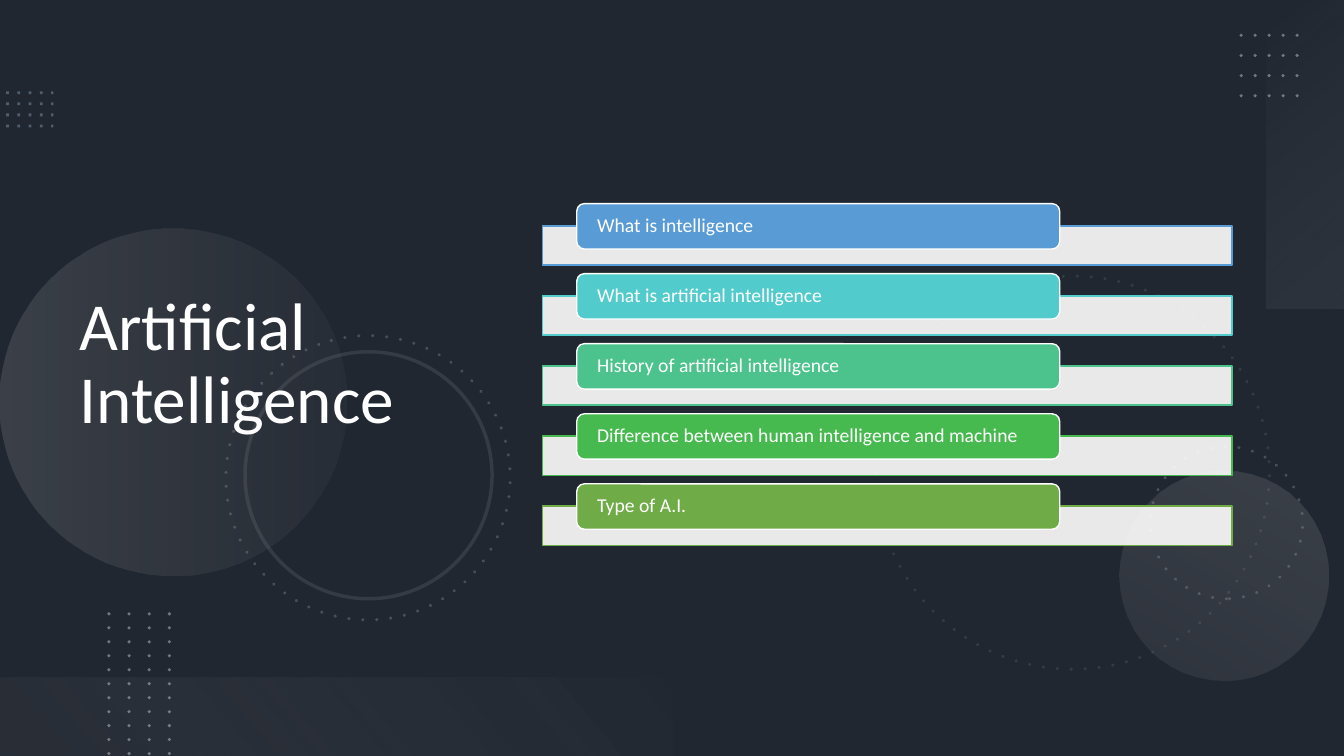
"""Build the Artificial Intelligence agenda slide."""
from typing import Any, NamedTuple, Optional

import pptx
import pptx.dml.color
import pptx.enum.shapes
import pptx.enum.text
import pptx.oxml.ns
import pptx.oxml.xmlchemy
import pptx.util
from lxml import etree

Inches = pptx.util.Inches
RGBColor = pptx.dml.color.RGBColor
Kind = pptx.enum.shapes.MSO_SHAPE
qn = pptx.oxml.ns.qn

SLATE = RGBColor(0x44, 0x54, 0x6A)
BLACK = RGBColor(0x00, 0x00, 0x00)
WHITE = RGBColor(0xFF, 0xFF, 0xFF)
STEEL = RGBColor(0x82, 0x96, 0xB0)
PALE = RGBColor(0xEF, 0xEF, 0xEF)
MIST = RGBColor(0xF5, 0xF4, 0xF4)
SILVER = RGBColor(0xAE, 0xAB, 0xAB)
GREY = RGBColor(0x75, 0x70, 0x70)
BLUE = RGBColor(0x59, 0x9B, 0xD5)
TEAL = RGBColor(0x52, 0xCB, 0xCC)
MINT = RGBColor(0x4C, 0xC3, 0x8C)
GREEN = RGBColor(0x46, 0xBA, 0x4E)
OLIVE = RGBColor(0x6F, 0xAB, 0x46)


class Box(NamedTuple):
    left: float
    top: float
    width: float
    height: float
    turn: float = 0


class Stop(NamedTuple):
    place: int
    color: RGBColor
    alpha: int


class Pen(NamedTuple):
    color: RGBColor
    width: float = 1
    alpha: int = 100
    dash: str = "solid"
    cap: str = "flat"


class Ring(NamedTuple):
    box: Box
    pen: Pen


class Glow(NamedTuple):
    kind: Any
    box: Box
    angle: int
    stops: list[Stop]


class Grid(NamedTuple):
    left: float
    top: float
    size: float
    gap: float
    pen: Pen
    upright: bool = False


class Topic(NamedTuple):
    text: str
    color: RGBColor


def fade(node: Any, alpha: int) -> None:
    if alpha < 100:
        for color in node.iter(qn("a:srgbClr")):
            etree.SubElement(color, qn("a:alpha"), val=str(alpha * 1000))


def stroke(item: Any, pen: Pen) -> None:
    item.line.color.rgb = pen.color
    item.line.width = pptx.util.Pt(pen.width)
    line = item._element.spPr.find(qn("a:ln"))
    line.set("cap", "rnd" if pen.cap == "round" else "flat")
    etree.SubElement(line, qn("a:prstDash"), val=pen.dash)
    fade(line, pen.alpha)


def shape(slide: Any, kind: Any, box: Box, fill: Optional[RGBColor] = None,
          alpha: int = 100, pen: Optional[Pen] = None) -> Any:
    item = slide.shapes.add_shape(kind, *map(Inches, box[:4]))
    item.rotation = box.turn
    item.shadow.inherit = False
    if fill is None:
        item.fill.background()
    else:
        item.fill.solid()
        item.fill.fore_color.rgb = fill
        fade(item._element.spPr, alpha)
    if pen is None:
        item.line.fill.background()
    else:
        stroke(item, pen)
    return item


def draw_glow(slide: Any, glow: Glow) -> None:
    item = shape(slide, glow.kind, glow.box)
    item.fill.gradient()
    grad = item._element.spPr.find(qn("a:gradFill"))
    for child in list(grad):
        grad.remove(child)
    grad.set("rotWithShape", "1")
    stops = etree.SubElement(grad, qn("a:gsLst"))
    for stop in glow.stops:
        mark = etree.SubElement(stops, qn("a:gs"), pos=str(stop.place * 1000))
        etree.SubElement(mark, qn("a:srgbClr"), val=str(stop.color))
        fade(mark, stop.alpha)
    etree.SubElement(grad, qn("a:lin"), ang=str(glow.angle * 60000), scaled="0")


def draw_grid(slide: Any, grid: Grid) -> None:
    for index in range(4):
        step = index * grid.gap
        if grid.upright:
            left, top = grid.left + step, grid.top
            ends = (left, top, left, top + grid.size)
        else:
            left, top = grid.left, grid.top + step
            ends = (left, top, left + grid.size, top)
        line = slide.shapes.add_connector(
            pptx.enum.shapes.MSO_CONNECTOR.STRAIGHT, *map(Inches, ends))
        stroke(line, grid.pen)
        etree.SubElement(line._element.spPr, qn("a:effectLst"))


def write(item: Any, text: str, *, size: int, side: float, edge: float) -> None:
    frame = item.text_frame
    frame.word_wrap = True
    frame.vertical_anchor = pptx.enum.text.MSO_ANCHOR.MIDDLE
    frame.margin_left = frame.margin_right = Inches(side)
    frame.margin_top = frame.margin_bottom = Inches(edge)
    para = frame.paragraphs[0]
    para.alignment = pptx.enum.text.PP_ALIGN.LEFT
    para.line_spacing = 0.9
    run = para.add_run()
    run.text = text
    run.font.name = "Calibri"
    run.font.size = pptx.util.Pt(size)
    run.font.color.rgb = WHITE


def dots(alpha: int) -> Pen:
    return Pen(PALE, 2.5, alpha, "dot", "round")


GLOWS = [
    Glow(Kind.OVAL, Box(0, 2.27, 3.44, 3.44, 270), 90,
         [Stop(0, SILVER, 20), Stop(100, GREY, 10)]),
    Glow(Kind.OVAL, Box(11.1, 4.67, 2.08, 2.08, 210), 90,
         [Stop(0, SILVER, 10), Stop(100, SILVER, 20)]),
    Glow(Kind.RECTANGLE, Box(11.42, 1.14, 3.06, 0.78, 270), 140,
         [Stop(0, MIST, 0), Stop(100, SILVER, 10)]),
    Glow(Kind.RECTANGLE, Box(0, 6.72, 6.67, 0.78, 180), 140,
         [Stop(0, GREY, 10), Stop(10, GREY, 10), Stop(100, PALE, 0)]),
]
RINGS = [
    Ring(Box(8.69, 2.74, 3.9, 3.9, 75), dots(10)),
    Ring(Box(11.41, 4.43, 1.51, 1.51, 270), dots(20)),
    Ring(Box(2.24, 3.33, 2.82, 2.82, 75), dots(20)),
    Ring(Box(2.43, 3.49, 2.45, 2.45, 75), Pen(PALE, 2.5, 10)),
]
GRIDS = [
    Grid(0.06, 0.92, 0.47, 0.11, Pen(STEEL, 2, 50, "dot")),
    Grid(12.31, 0.35, 0.6, 0.2, dots(40)),
    Grid(1.08, 6.09, 1.41, 0.2, dots(40), upright=True),
]
TOPICS = [
    Topic("What is intelligence", BLUE),
    Topic("What is artificial intelligence", TEAL),
    Topic("History of artificial intelligence", MINT),
    Topic("Difference between human intelligence and machine", GREEN),
    Topic("Type of A.I.", OLIVE),
]


def main() -> None:
    deck = pptx.Presentation()
    deck.slide_width, deck.slide_height = Inches(13.33), Inches(7.5)
    slide = deck.slides.add_slide(deck.slide_layouts[6])
    slide.background.fill.solid()
    slide.background.fill.fore_color.rgb = SLATE
    shape(slide, Kind.RECTANGLE, Box(0, 0, 13.33, 7.5), BLACK, 53)
    for ring in RINGS:
        shape(slide, Kind.OVAL, ring.box, pen=ring.pen)
    for glow in GLOWS:
        draw_glow(slide, glow)
    for grid in GRIDS:
        draw_grid(slide, grid)
    title = slide.shapes.add_textbox(*map(Inches, (0.69, 0.54, 4.59, 6.17)))
    write(title, "Artificial Intelligence", size=48, side=0.1, edge=0.05)
    pitch = 2.78 / (len(TOPICS) - 1)
    for index, topic in enumerate(TOPICS):
        top = 2.24 + index * pitch
        shape(slide, Kind.RECTANGLE, Box(5.38, top, 6.84, 0.39), WHITE, 90, Pen(topic.color))
        card = shape(slide, Kind.ROUNDED_RECTANGLE, Box(5.72, top - 0.22, 4.79, 0.45),
                     topic.color, pen=Pen(WHITE))
        write(card, topic.text, size=14, side=0.18, edge=0)
    deck.save("out.pptx")


if __name__ == "__main__":
    main()
